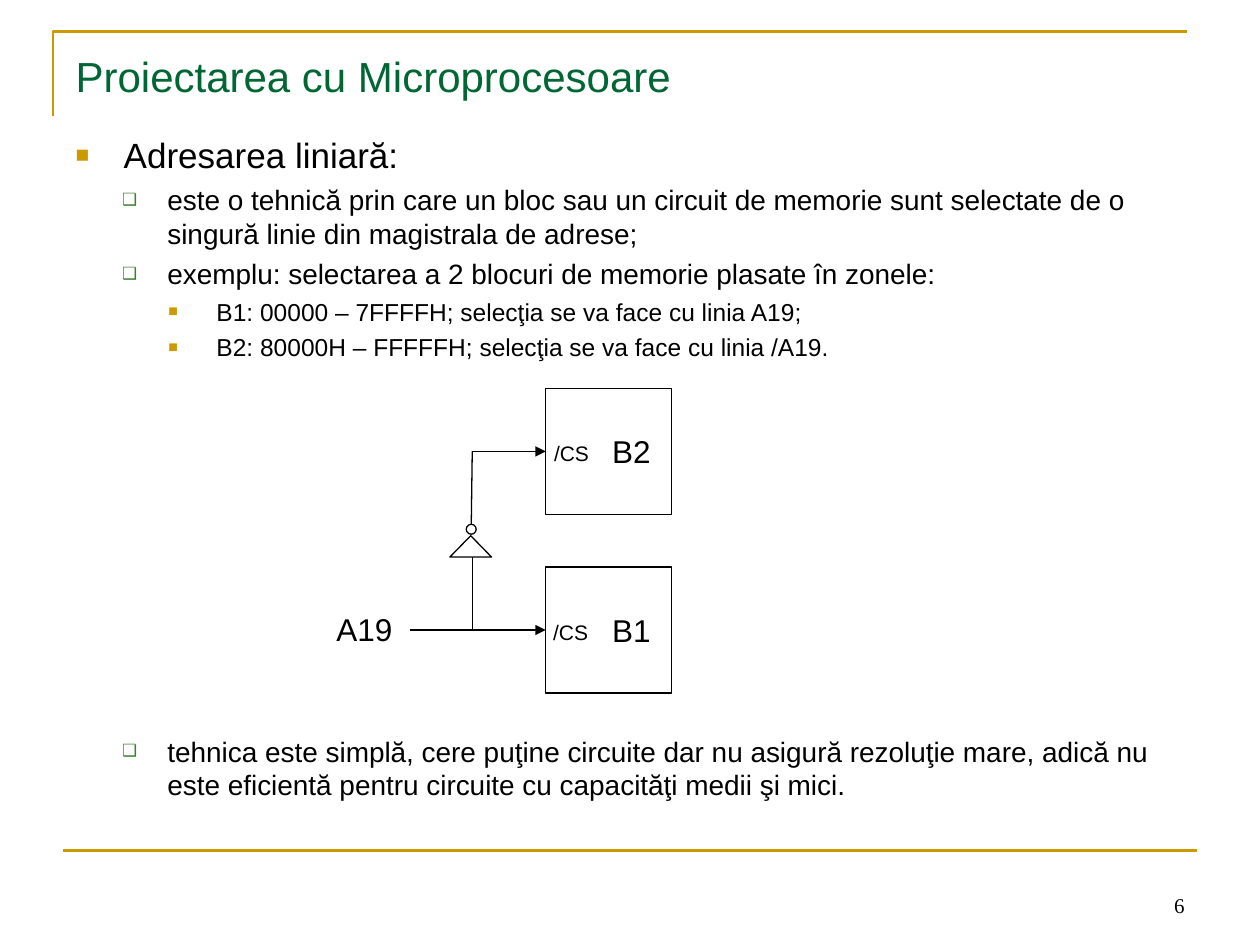
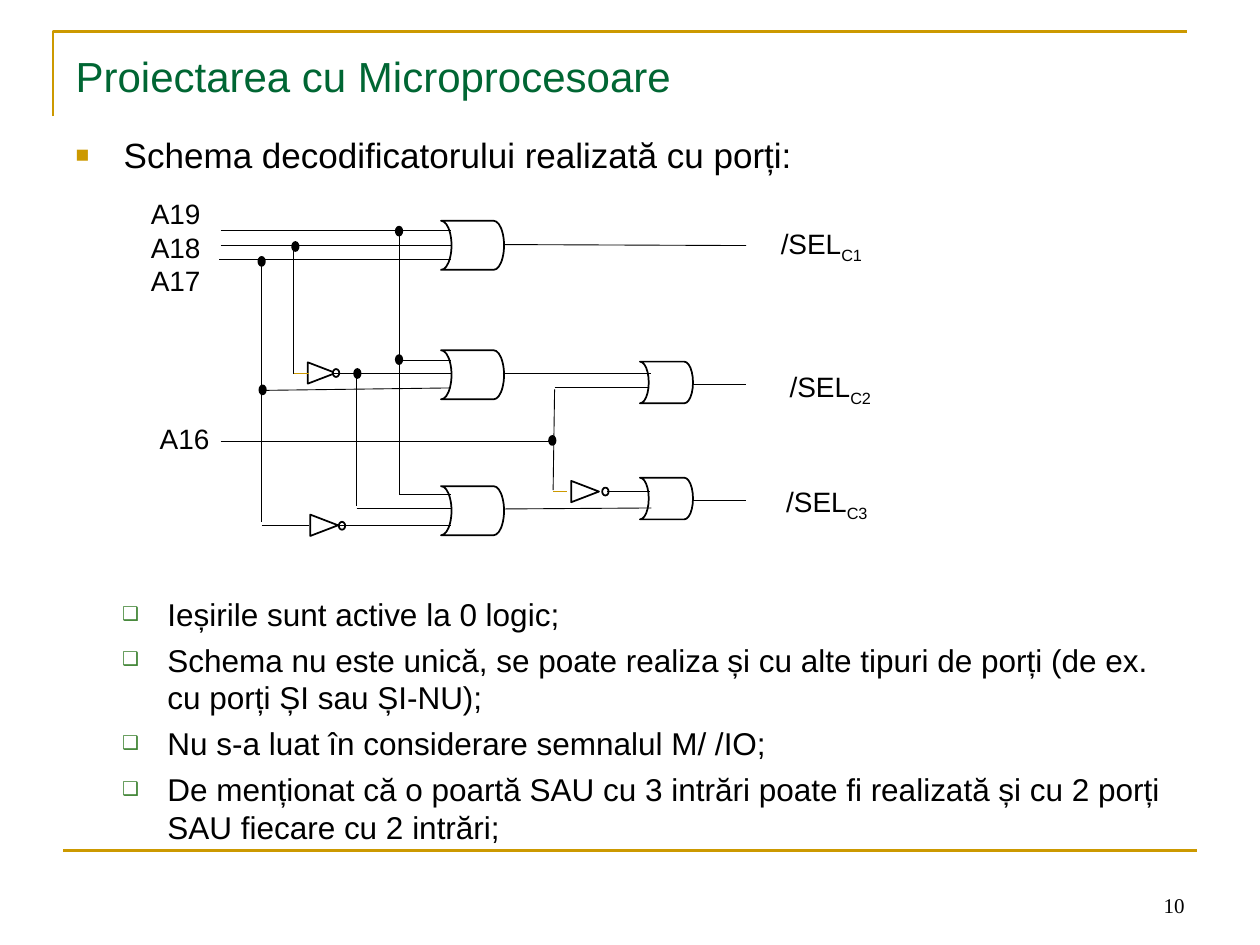
from typing import NamedTuple

from lxml import etree
from pptx import Presentation
from pptx.dml.color import RGBColor
from pptx.enum.shapes import MSO_CONNECTOR, MSO_SHAPE
from pptx.enum.text import MSO_ANCHOR, MSO_AUTO_SIZE, PP_ALIGN
from pptx.oxml.ns import qn
from pptx.util import Cm, Pt

LEFT, CENTER, RIGHT = PP_ALIGN.LEFT, PP_ALIGN.CENTER, PP_ALIGN.RIGHT
TOP, MIDDLE, BOTTOM = MSO_ANCHOR.TOP, MSO_ANCHOR.MIDDLE, MSO_ANCHOR.BOTTOM
STRAIGHT = MSO_CONNECTOR.STRAIGHT
RECT, TRIANGLE, OVAL = MSO_SHAPE.RECTANGLE, MSO_SHAPE.ISOSCELES_TRIANGLE, MSO_SHAPE.OVAL
OR_GATE = MSO_SHAPE.FLOWCHART_STORED_DATA
NO_FIT = MSO_AUTO_SIZE.NONE

BLACK, WHITE, GOLD, TITLE_GREEN, BULLET_GREEN = "000000", "FFFFFF", "CC9900", "006633", "3B812F"
SANS, SERIF = "Arial", "Times New Roman"
TITLE = "Proiectarea cu Microprocesoare"


class Level(NamedTuple):
    margin: float
    hanging: float
    bullet: str
    color: str
    percent: int


class Item(NamedTuple):
    text: str
    level: int
    size: float
    before: float = 0


class Wire(NamedTuple):
    x1: float
    y1: float
    x2: float
    y2: float
    color: str = BLACK
    weight: float = 0.5
    arrow: bool = False


class Part(NamedTuple):
    kind: int
    x: float
    y: float
    w: float
    h: float
    rotation: int = 0
    fill: str = WHITE
    weight: float = 1


class Label(NamedTuple):
    x: float
    y: float
    w: float
    h: float
    lines: tuple[str, ...]
    size: float
    sub: str = ""
    align: int = LEFT
    anchor: int = TOP
    font: str = SANS


LEVELS = (
    Level(0.97, 0.97, "■", GOLD, 65),
    Level(1.85, 0.91, "❑", BULLET_GREEN, 60),
    Level(2.84, 0.97, "■", GOLD, 65),
)


def rgb(color: str) -> RGBColor:
    return RGBColor.from_string(color)


def set_all(target, values: dict) -> None:
    for name, value in values.items():
        setattr(target, name, value)


def add_run(p, text: str, size: float, color: str = BLACK, font: str = SANS):
    r = p.add_run()
    r.text = text
    set_all(r.font, {"name": font, "size": Pt(size), "bold": False})
    r.font.color.rgb = rgb(color)
    return r


def place(s, x: float, y: float, w: float, h: float) -> None:
    set_all(s, {"left": Cm(x), "top": Cm(y), "width": Cm(w), "height": Cm(h)})


def set_line(s, color: str, weight: float) -> None:
    s.line.color.rgb = rgb(color)
    s.line.width = Pt(weight)


def add_wire(slide, wire: Wire) -> None:
    s = slide.shapes.add_connector(
        STRAIGHT, Cm(wire.x1), Cm(wire.y1), Cm(wire.x2), Cm(wire.y2))
    set_line(s, wire.color, wire.weight)
    sp_pr = s.line._get_or_add_ln().getparent()
    if wire.arrow:
        etree.SubElement(s.line._get_or_add_ln(), qn("a:tailEnd"), type="triangle")
    etree.SubElement(sp_pr, qn("a:effectLst"))


def add_part(slide, part: Part):
    s = slide.shapes.add_shape(part.kind, Cm(part.x), Cm(part.y), Cm(part.w), Cm(part.h))
    s.shadow.inherit = False
    s.rotation = part.rotation
    s.fill.solid()
    s.fill.fore_color.rgb = rgb(part.fill)
    set_line(s, BLACK, part.weight)
    return s


def add_label(slide, label: Label) -> None:
    s = slide.shapes.add_textbox(Cm(label.x), Cm(label.y), Cm(label.w), Cm(label.h))
    tf = s.text_frame
    set_all(tf, {"word_wrap": False, "vertical_anchor": label.anchor})
    for i, line in enumerate(label.lines):
        p = tf.add_paragraph() if i else tf.paragraphs[0]
        p.alignment = label.align
        add_run(p, line, label.size, font=label.font)
        if label.sub:
            r = add_run(p, label.sub, label.size)
            r.font._element.set("baseline", "-25000")


def add_block(slide, name: str, x: float, y: float, side: float) -> None:
    """Memory block whose name leaves room for the /CS pin on its left."""
    s = add_part(slide, Part(RECT, x, y, side, side, weight=0.75))
    tf = s.text_frame
    set_all(tf, {"margin_left": Cm(1.17), "word_wrap": False, "vertical_anchor": MIDDLE})
    p = tf.paragraphs[0]
    p.alignment = CENTER
    add_run(p, name, 18)


def set_bullet(p, level: Level) -> None:
    p_pr = p._p.get_or_add_pPr()
    p_pr.set("marL", str(Cm(level.margin)))
    p_pr.set("indent", str(-Cm(level.hanging)))
    color = etree.SubElement(p_pr, qn("a:buClr"))
    etree.SubElement(color, qn("a:srgbClr"), val=level.color)
    etree.SubElement(p_pr, qn("a:buSzPct"), val=str(level.percent * 1000))
    etree.SubElement(p_pr, qn("a:buFont"), typeface=SANS)
    etree.SubElement(p_pr, qn("a:buChar"), char=level.bullet)


def add_frame(slide) -> None:
    """Gold corner at the top and gold rule above the footer."""
    builder = slide.shapes.build_freeform(Cm(1.07), Cm(2.34))
    builder.add_line_segments([(Cm(1.07), Cm(0.64)), (Cm(23.93), Cm(0.64))], close=False)
    s = builder.convert_to_shape()
    s.shadow.inherit = False
    s.fill.background()
    set_line(s, GOLD, 1.5)
    add_wire(slide, Wire(1.27, 17.15, 24.13, 17.15, GOLD, 1.5))


def add_slide(prs, number: int, items: list[Item]):
    slide = prs.slides.add_slide(prs.slide_layouts[1])
    title, body = slide.shapes.title, slide.placeholders[1]
    place(title, 1.27, 0.76, 22.86, 1.55)
    place(body, 1.27, 2.57, 22.86, 14.5)
    for s, anchor in ((title, MIDDLE), (body, TOP)):
        set_all(s.text_frame, {"auto_size": NO_FIT, "word_wrap": True, "vertical_anchor": anchor})

    p = title.text_frame.paragraphs[0]
    p.alignment = LEFT
    add_run(p, TITLE, 24, TITLE_GREEN)

    tf = body.text_frame
    for i, item in enumerate(items):
        p = tf.add_paragraph() if i else tf.paragraphs[0]
        set_all(p, {"level": item.level, "alignment": LEFT, "space_before": Pt(item.before)})
        set_bullet(p, LEVELS[item.level])
        add_run(p, item.text, item.size)

    add_frame(slide)
    add_label(slide, Label(18.21, 17.35, 5.92, 1.27, (str(number),), 12,
                           align=RIGHT, anchor=BOTTOM, font=SERIF))
    return slide


def add_linear_addressing(prs) -> None:
    slide = add_slide(prs, 6, [
        Item("Adresarea liniară:", 0, 20),
        Item("este o tehnică prin care un bloc sau un circuit de memorie sunt selectate "
             "de o singură linie din magistrala de adrese;", 1, 16, 4),
        Item("exemplu: selectarea a 2 blocuri de memorie plasate în zonele:", 1, 16, 4),
        Item("B1: 00000 – 7FFFFH; selecţia se va face cu linia A19;", 2, 14, 3.5),
        Item("B2: 80000H – FFFFFH; selecţia se va face cu linia /A19.", 2, 14, 3.5),
        Item("tehnica este simplă, cere puţine circuite dar nu asigură rezoluţie mare, "
             "adică nu este eficientă pentru circuite cu capacităţi medii şi mici.", 1, 16, 213),
    ])
    for name, y in (("B1", 11.43), ("B2", 7.83)):
        add_block(slide, name, 11, y, 2.54)
    add_part(slide, Part(TRIANGLE, 9.07, 10.8, 0.84, 0.43, weight=0.75))
    add_part(slide, Part(OVAL, 9.4, 10.57, 0.2, 0.2, weight=0.75))
    for wire in (
        Wire(8.26, 12.7, 11, 12.7, weight=0.75, arrow=True),
        Wire(9.52, 11.23, 9.52, 12.7, weight=0.75),
        Wire(9.5, 10.58, 9.52, 9.1, weight=0.75),
        Wire(9.52, 9.1, 11, 9.1, weight=0.75, arrow=True),
    ):
        add_wire(slide, wire)
    for label in (
        Label(6.53, 12.17, 1.63, 1.02, ("A19",), 18),
        Label(10.92, 8.76, 1.22, 0.76, ("/CS",), 12),
        Label(10.9, 12.37, 1.22, 0.76, ("/CS",), 12),
    ):
        add_label(slide, label)


def add_gate_decoder(prs) -> None:
    slide = add_slide(prs, 10, [
        Item("Schema decodificatorului realizată cu porți:", 0, 20),
        Item("Ieșirile sunt active la 0 logic;", 1, 18, 239.5),
        Item("Schema nu este unică, se poate realiza și cu alte tipuri de porți "
             "(de ex. cu porți ȘI sau ȘI-NU);", 1, 18, 4.5),
        Item("Nu s-a luat în considerare semnalul M/ /IO;", 1, 18, 4.5),
        Item("De menționat că o poartă SAU cu 3 intrări poate fi realizată și cu 2 porți "
             "SAU fiecare cu 2 intrări;", 1, 18, 4.5),
    ])
    wide_gates = [Part(OR_GATE, 8.89, y, 1.27, 0.99, 180) for y in (4.45, 7.06, 9.8)]
    small_gates = [Part(OR_GATE, 12.9, y, 1.07, 0.84, 180) for y in (7.29, 9.63)]
    inverters = [Part(TRIANGLE, x, y, 0.43, 0.56, 90)
                 for x, y in ((6.27, 7.24), (6.32, 10.31), (11.58, 9.63))]
    bubbles = [Part(OVAL, x, y, 0.13, 0.16)
               for x, y in ((6.71, 7.44), (6.83, 10.52), (12.14, 9.83))]
    for part in wide_gates + small_gates + inverters + bubbles:
        add_part(slide, part)

    for wire in (
        # address lines
        Wire(4.45, 4.65, 9.09, 4.65),
        Wire(4.45, 4.95, 9.09, 4.95),
        Wire(4.42, 5.23, 9.09, 5.23),
        Wire(4.45, 8.89, 11.15, 8.89),
        # A19 branch
        Wire(8.05, 4.65, 8.05, 9.96),
        Wire(8.03, 7.26, 9.09, 7.26),
        Wire(8.05, 9.96, 9.09, 9.96),
        # A18 branch
        Wire(5.92, 4.95, 5.92, 7.54),
        Wire(5.92, 7.52, 6.22, 7.52, GOLD),
        Wire(6.71, 7.52, 9.09, 7.52),
        Wire(7.19, 7.59, 7.19, 10.21),
        Wire(7.19, 10.24, 9.09, 10.24),
        # A17 branch
        Wire(5.28, 5.23, 5.28, 10.52),
        Wire(5.28, 7.87, 9.09, 7.82),
        Wire(5.28, 10.59, 6.22, 10.59),
        Wire(6.83, 10.59, 9.09, 10.59),
        # A16 branch
        Wire(11.18, 7.85, 11.15, 9.88),
        Wire(11.18, 7.82, 13.08, 7.82),
        Wire(11.15, 9.91, 11.43, 9.91, GOLD),
        Wire(12.24, 9.91, 13.11, 9.91),
        # gate outputs
        Wire(10.16, 4.93, 15.04, 4.95),
        Wire(10.13, 7.52, 13.13, 7.52),
        Wire(10.16, 10.26, 13.13, 10.24),
        Wire(13.97, 7.75, 15.04, 7.75),
        Wire(13.97, 10.08, 15.04, 10.08),
    ):
        add_wire(slide, wire)

    for x, y in ((7.98, 4.57), (5.89, 4.88), (5.21, 5.18), (5.23, 7.77),
                 (7.98, 7.16), (7.14, 7.44), (11.07, 8.79)):
        add_part(slide, Part(OVAL, x, y, 0.13, 0.18, fill=BLACK))

    add_label(slide, Label(2.79, 3.84, 1.65, 2.29, ("A19", "A18", "A17"), 16))
    add_label(slide, Label(2.97, 8.38, 1.65, 0.94, ("A16",), 16))
    for sub, x, y in (("C1", 15.49, 4.45), ("C2", 15.67, 7.32), ("C3", 15.6, 9.65)):
        add_label(slide, Label(x, y, 2.51, 1.04, ("/SEL",), 16, sub))


def main() -> None:
    prs = Presentation()
    set_all(prs, {"slide_width": Cm(25.4), "slide_height": Cm(19.05)})
    add_linear_addressing(prs)
    add_gate_decoder(prs)
    prs.save("out.pptx")


if __name__ == "__main__":
    main()
